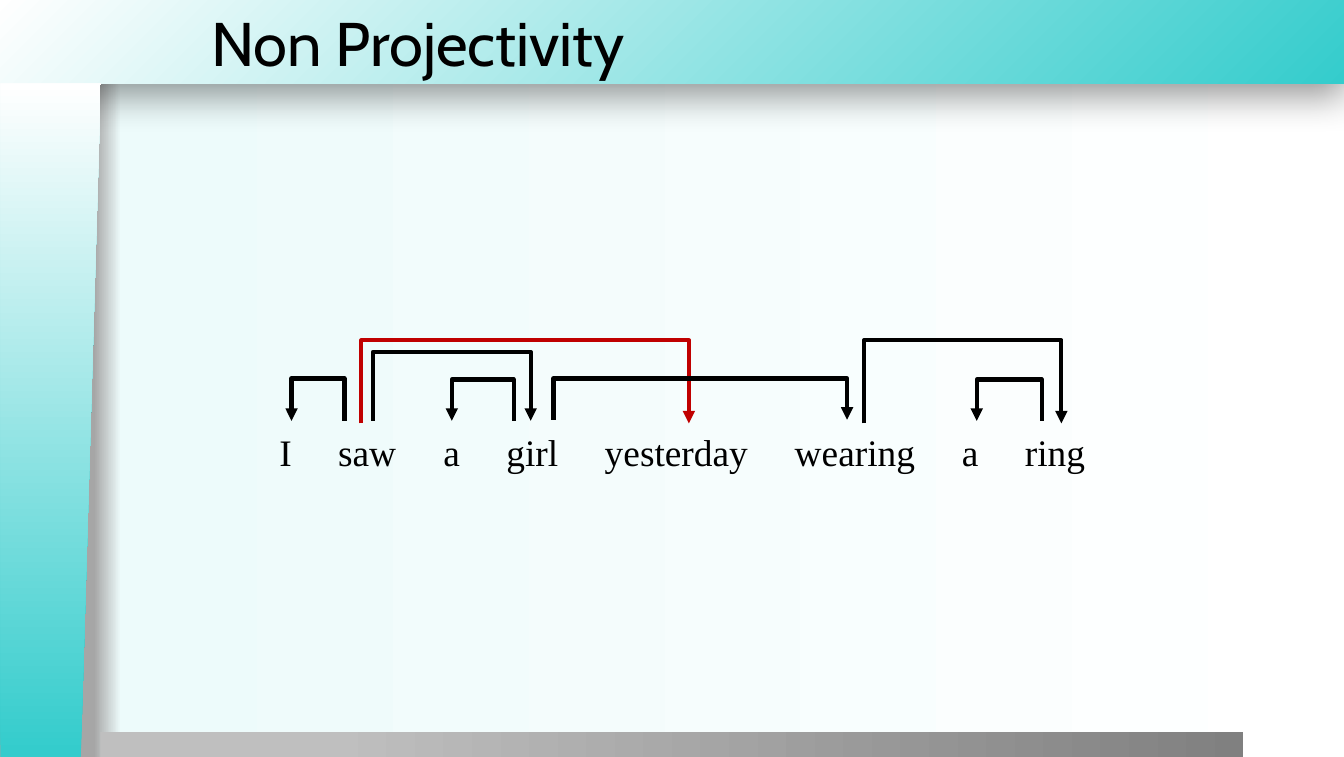
from lxml.etree import SubElement
from pptx import Presentation
from pptx.dml.color import RGBColor
from pptx.enum.shapes import MSO_SHAPE
from pptx.enum.text import MSO_ANCHOR
from pptx.oxml.ns import qn
from pptx.util import Cm, Pt

WIDE, HIGH = 25.4, 14.3
TEAL, WHITE, BLACK, RED = "34CCCC", "FFFFFF", "000000", "C00000"


def hue(code):
    return RGBColor.from_string(code)


def node(root, tag, **vals):
    return SubElement(root, qn(tag), {k: str(v) for k, v in vals.items()})


class Deck:
    title = {"name": "Cabin", "size": Pt(33)}
    body = {"name": "Times New Roman", "size": Pt(20)}

    def __init__(self):
        self.show = Presentation()
        self.show.slide_width, self.show.slide_height = Cm(WIDE), Cm(HIGH)
        self.slide = self.show.slides.add_slide(self.show.slide_layouts[6])
        self.shapes = self.slide.shapes

    def blend(self, fill, root, stops, round_=False):
        """Gradient of (percent, colour) stops, left to right or from a corner."""
        fill.gradient()
        grad = root.find(".//" + qn("a:gradFill"))
        for kid in list(grad):
            grad.remove(kid)
        group = node(grad, "a:gsLst")
        for place, code in stops:
            node(node(group, "a:gs", pos=place * 1000), "a:srgbClr", val=code)
        if round_:
            way = node(grad, "a:path", path="circle")
            node(way, "a:fillToRect", l=100000, t=100000)
        else:
            node(grad, "a:lin", ang=0, scaled=0)

    def back(self, stops):
        self.blend(self.slide.background.fill, self.slide.element, stops)

    def panel(self, kind, box, stops, round_=False):
        shape = self.shapes.add_shape(kind, *map(Cm, box))
        shape.shadow.inherit = False
        shape.line.fill.background()
        self.blend(shape.fill, shape.element.spPr, stops, round_)
        return shape

    def shade(self, shape, blur, dist, alpha):
        effect = shape.element.spPr.find(qn("a:effectLst"))
        cast = node(effect, "a:outerShdw", blurRad=Pt(blur), dist=Pt(dist),
                    dir=5400000, algn="t", rotWithShape=0)
        node(node(cast, "a:srgbClr", val=BLACK), "a:alpha", val=alpha * 1000)

    def text(self, words, box, style, pads, anchor=MSO_ANCHOR.TOP, tabs=()):
        frame = self.shapes.add_textbox(*map(Cm, box)).text_frame
        left, top, right, base = map(Cm, pads)
        form = {"word_wrap": True, "vertical_anchor": anchor,
                "margin_left": left, "margin_top": top,
                "margin_right": right, "margin_bottom": base}
        for key, val in form.items():
            setattr(frame, key, val)
        para = frame.paragraphs[0]
        if tabs:
            stops = node(para._p.get_or_add_pPr(), "a:tabLst")
            for place in tabs:
                node(stops, "a:tab", pos=Cm(place), algn="l")
        run = para.add_run()
        run.text = words
        for key, val in style.items():
            setattr(run.font, key, val)
        run.font.color.rgb = hue(BLACK)

    def arc(self, start, end, top, base, code=BLACK):
        """Square arrow from a head word over to its dependent."""
        route = self.shapes.build_freeform(Cm(start), Cm(base))
        route.add_line_segments([(Cm(start), Cm(top)), (Cm(end), Cm(top)),
                                 (Cm(end), Cm(base))], close=False)
        shape = route.convert_to_shape()
        shape.shadow.inherit = False
        shape.fill.background()
        shape.line.color.rgb = hue(code)
        shape.line.width = Pt(2.25)
        line = shape.element.spPr.find(qn("a:ln"))
        node(line, "a:round")
        node(line, "a:tailEnd", type="triangle")


def main():
    deck = Deck()

    # Background and frame
    deck.back([(7, "A6A6A6"), (9, "EDFBFB"), (100, WHITE)])
    head = deck.panel(MSO_SHAPE.RECTANGLE, (-0.02, 0, 25.42, 1.58),
                      [(0, TEAL), (100, WHITE)], round_=True)
    deck.shade(head, blur=20, dist=6, alpha=40)
    deck.panel(MSO_SHAPE.RECTANGLE, (1.9, 13.83, 21.6, 0.5),
               [(20, "BFBFBF"), (100, "808080")])
    side = deck.panel(MSO_SHAPE.FLOWCHART_MANUAL_INPUT,
                      (-5.42, 7, 12.75, 1.9), [(1, TEAL), (100, WHITE)])
    side.rotation = 270
    side.element.spPr.find(qn("a:xfrm")).set("flipV", "1")

    # Title
    deck.text("Non Projectivity", (3.74, 0, 21.66, 1.58), deck.title,
              (0.25, 0.13, 0.25, 0.13), MSO_ANCHOR.MIDDLE)

    # Dependency arcs: head x, dependent x, top, base
    for arc in [(7.05, 10.03, 6.65, 7.95),
                (9.71, 8.54, 7.17, 7.95),
                (6.83, 13.02, 6.43, 8, RED),
                (10.46, 16.01, 7.15, 7.93),
                (6.51, 5.51, 7.15, 7.95),
                (16.33, 20.06, 6.43, 8),
                (19.69, 18.46, 7.17, 7.95)]:
        deck.arc(*arc)

    # Sentence, one tab stop per word after the first
    words = "I saw a girl yesterday wearing a ring".split()
    deck.text("\t".join(words), (4.1, 8.11, 17.6, 0.74), deck.body,
              (1.18, 0, 0, 0),
              tabs=(1.11, 3.1, 4.29, 6.15, 9.74, 12.9, 14.09))

    deck.show.save("out.pptx")


if __name__ == "__main__":
    main()
